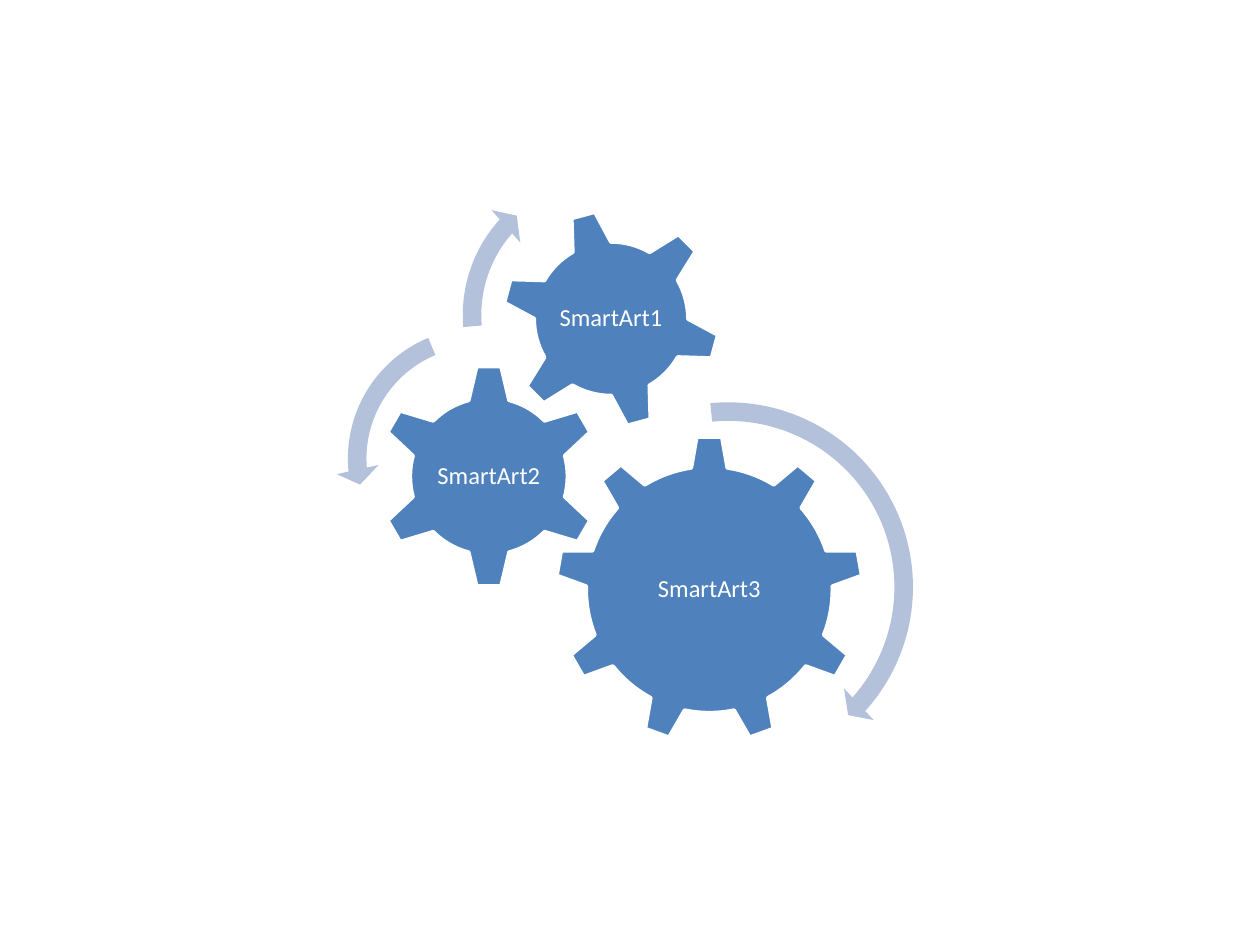
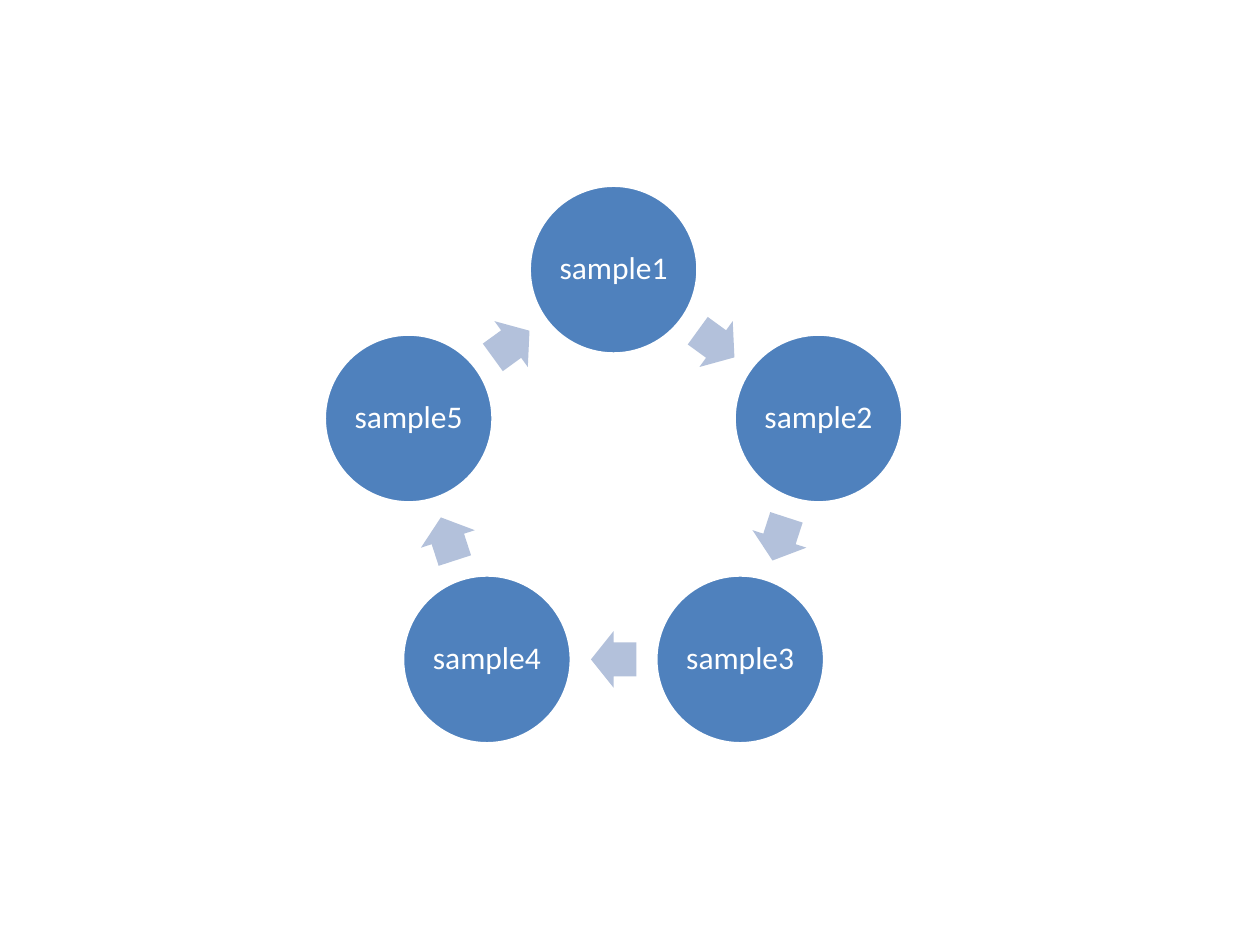
from math import cos, radians, sin

from pptx import Presentation
from pptx.dml.color import RGBColor
from pptx.enum.shapes import MSO_SHAPE
from pptx.enum.text import MSO_ANCHOR, PP_ALIGN
from pptx.util import Inches, Pt

BLUE = RGBColor(0x4F, 0x81, 0xBD)
PALE_BLUE = RGBColor(0xB3, 0xC1, 0xDB)
WHITE = RGBColor(0xFF, 0xFF, 0xFF)
FONT = "Calibri"


class Diagram:
    def __init__(self, deck):
        self.deck = deck
        self.slide = None

    def new_slide(self):
        self.slide = self.deck.slides.add_slide(self.deck.slide_layouts[6])

    def shape(self, kind, center, width, height, color, rotation=0):
        x, y = center
        shape = self.slide.shapes.add_shape(
            kind, Inches(x - width / 2), Inches(y - height / 2), Inches(width), Inches(height))
        shape.shadow.inherit = False
        shape.fill.solid()
        shape.fill.fore_color.rgb = color
        shape.line.fill.background()
        shape.rotation = rotation
        return shape

    def node(self, kind, center, size, rotation=0):
        node = self.shape(kind, center, size, size, BLUE, rotation)
        node.line.color.rgb = WHITE
        node.line.width = Pt(2)
        return node

    def arrow(self, kind, center, width, height, adjustments, rotation=0):
        arrow = self.shape(kind, center, width, height, PALE_BLUE, rotation)
        for index, value in enumerate(adjustments):
            arrow.adjustments[index] = value

    def caption(self, box, text, size, inset):
        frame = box.text_frame
        frame.word_wrap = True
        frame.vertical_anchor = MSO_ANCHOR.MIDDLE
        frame.margin_left = frame.margin_right = Inches(inset)
        frame.margin_top = frame.margin_bottom = Inches(inset)
        frame.text = text
        para = frame.paragraphs[0]
        para.alignment = PP_ALIGN.CENTER
        para.line_spacing = 0.9
        span = para.runs[0]
        span.font.name = FONT
        span.font.size = Pt(size)
        span.font.color.rgb = WHITE

    def label(self, text, center, width, height):
        x, y = center
        box = self.slide.shapes.add_textbox(
            Inches(x - width / 2), Inches(y - height / 2), Inches(width), Inches(height))
        self.caption(box, text, 14, 0.02)

    def gear(self, kind, text, center, size, label_size, rotation=0):
        self.node(kind, center, size, rotation)
        self.label(text, center, *label_size)

    def circle(self, text, center, size):
        self.caption(self.node(MSO_SHAPE.OVAL, center, size), text, 18, 0.03)


def build_gears(diagram):
    diagram.new_slide()
    diagram.gear(MSO_SHAPE.GEAR_9, "SmartArt3", (5.63, 4.68), 2.44, (1.46, 1.26))
    diagram.gear(MSO_SHAPE.GEAR_6, "SmartArt2", (3.88, 3.78), 1.78, (0.88, 0.88))
    diagram.gear(MSO_SHAPE.GEAR_6, "SmartArt1", (4.85, 2.53), 1.74, (0.98, 0.98), 345)
    turns = [
        (MSO_SHAPE.CIRCULAR_ARROW, (5.78, 4.66), 3.13, (0.047, 2.99, 25.131, 158.679, 0.055)),
        (MSO_SHAPE.LEFT_CIRCULAR_ARROW, (3.8, 3.64), 2.27, (0.065, 4.3, 104.891, 148.378, 0.075)),
        (MSO_SHAPE.CIRCULAR_ARROW, (4.8, 2.5), 2.45, (0.06, 3.941, 133.138, 105.082, 0.07)),
    ]
    for kind, center, size, adjustments in turns:
        diagram.arrow(kind, center, size, size, adjustments)


def build_cycle(diagram):
    diagram.new_slide()
    names = ["sample1", "sample2", "sample3", "sample4", "sample5"]
    step = 360 / len(names)
    radius = 1.71
    arrow_radius = radius * cos(radians(step / 2))

    def on_ring(angle, distance):
        return 4.87 + distance * sin(radians(angle)), 3.85 - distance * cos(radians(angle))

    for index, name in enumerate(names):
        angle = index * step
        halfway = angle + step / 2
        diagram.circle(name, on_ring(angle, radius), 1.34)
        diagram.arrow(MSO_SHAPE.RIGHT_ARROW, on_ring(halfway, arrow_radius),
                      0.36, 0.45, (0.6, 0.5), halfway)


def main():
    deck = Presentation()
    deck.slide_width = Inches(10)
    deck.slide_height = Inches(7.5)
    diagram = Diagram(deck)
    build_gears(diagram)
    build_cycle(diagram)
    deck.save("out.pptx")


if __name__ == "__main__":
    main()
